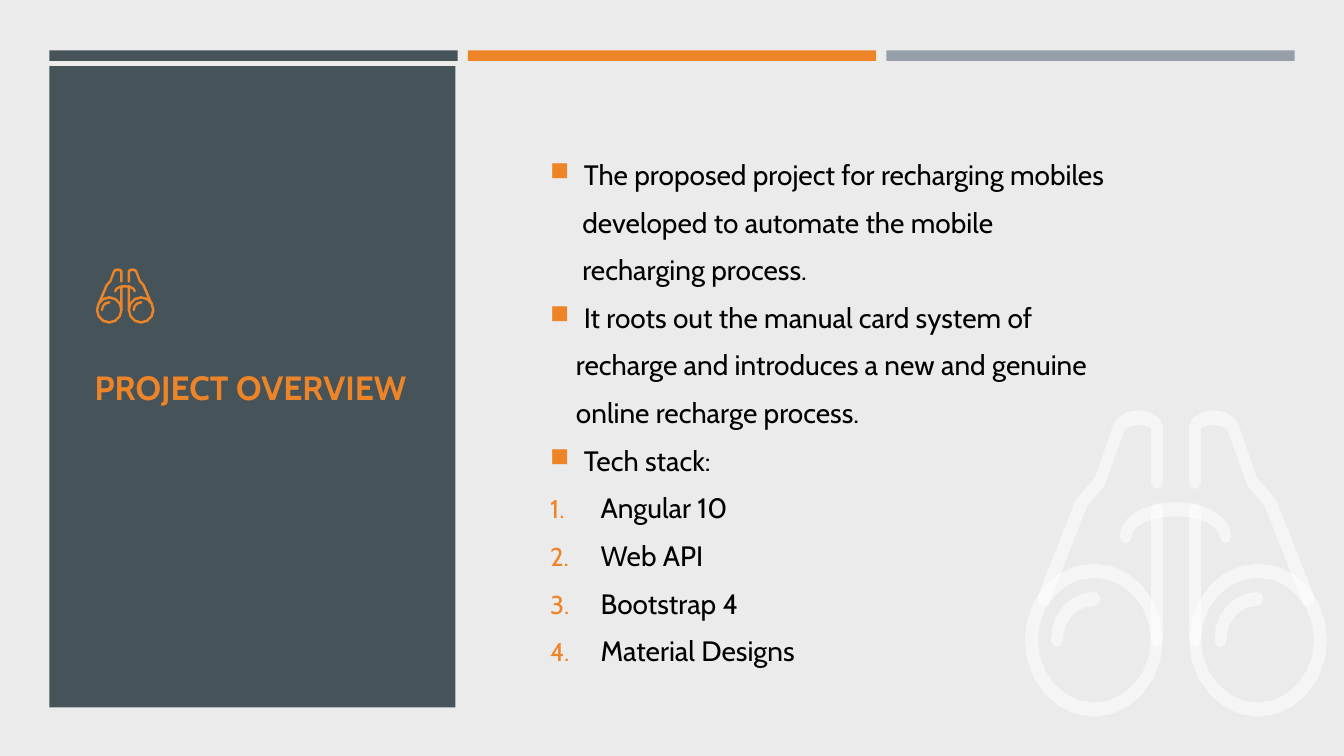
from lxml import etree
from pptx import Presentation
from pptx.dml.color import RGBColor as Rgb
from pptx.enum.shapes import MSO_SHAPE as Preset
from pptx.enum.text import MSO_ANCHOR as Anchor
from pptx.oxml.ns import qn
from pptx.util import Pt

COLORS = {"page": "EBEBEB", "slate": "465359", "orange": "ED8428",
          "grey": "969FA7", "white": "FFFFFF", "ink": "000000"}
FONT = "Cabin"
TITLE = "PROJECT OVERVIEW"
BODY = [
    ("square", 24, "The proposed project for recharging mobiles"),
    ("plain", 23, "developed to automate the mobile"),
    ("plain", 23, "recharging process."),
    ("square", 24, "It roots out the manual card system of"),
    ("plain", 18.4, "recharge and introduces a new and genuine"),
    ("plain", 18.4, "online recharge process."),
    ("square", 24, "Tech stack:"),
    ("number", 36, "Angular 10"),
    ("number", 36, "Web API"),
    ("number", 36, "Bootstrap 4"),
    ("number", 36, "Material Designs"),
]
BULLETS = {"square": ("a:buChar", "char", "■"),
           "number": ("a:buAutoNum", "type", "arabicPeriod")}
BARS = ["slate", "orange", "grey"]
BAR_LEFT, BAR_TOP, BAR_WIDTH, BAR_HEIGHT, BAR_STEP = 35.3, 36, 291.6, 7.5, 298.9
PANEL_BOX = (35.3, 47.3, 290, 458)
BODY_BOX = (385.9, 77.8, 523.4, 433.4)
TITLE_BOX = (60.5, 208.8, 239, 135.4)

LENS = [
    [(-81, 305), (-120, 305, -150, 270, -150, 229), (-150, 187, -120, 153, -81, 153),
     (-44, 153, -13, 187, -13, 229), (-13, 270, -44, 305, -81, 305)],
    [(-81, 167), (-112, 167, -137, 195, -137, 229), (-137, 262, -112, 291, -81, 291),
     (-50, 291, -25, 262, -25, 229), (-25, 195, -50, 167, -81, 167)],
]
BARREL = [
    [(-130, 195), (-134, 194), (-137, 190), (-137, 185), (-99, 89), (-97, 87),
     (-80, 67), (-62, 15), (-60, 11), (-55, 5, -47, 1, -37, 1),
     (-28, 1, -20, 5, -15, 11), (-13, 17), (-13, 72), (-15, 77), (-19, 79),
     (-23, 77), (-25, 72), (-25, 19), (-32, 14, -45, 15, -51, 20), (-70, 74),
     (-71, 76), (-88, 96), (-125, 190), (-127, 194)],
]
BRIDGE = [
    [(49, 133), (45, 131), (43, 126), (43, 116, 24, 106, 0, 106),
     (-25, 106, -44, 116, -44, 126), (-46, 131), (-50, 133), (-54, 131), (-56, 126),
     (-56, 107, -32, 92, 0, 92), (31, 92, 55, 107, 55, 126), (53, 131)],
]
HINGE = [
    [(-19, 236), (-23, 234), (-25, 229), (-25, 100), (-23, 95), (-19, 93),
     (-15, 95), (-13, 100), (-13, 229), (-15, 234)],
]
GLINT = [
    [(-118, 236), (-122, 234), (-124, 229), (-124, 202, -105, 181, -81, 181),
     (-77, 183), (-75, 188), (-77, 193), (-81, 195),
     (-99, 195, -112, 210, -112, 229), (-114, 234)],
]
KEPT, MIRRORED, SHIFTED = (1, 0), (-1, 0), (1, 162)
BINOCULARS = [
    (LENS, [KEPT, MIRRORED]), (BARREL, [KEPT, MIRRORED]), (BRIDGE, [KEPT]),
    (HINGE, [KEPT, MIRRORED]), (GLINT, [KEPT, SHIFTED]),
]
ICONS = [
    {"origin": (840, 292.4), "scale": (0.72, 0.72), "color": "white",
     "alpha": 50, "steps": 6},
    {"origin": (89.4, 191.6), "scale": (0.14, 0.13), "color": "orange",
     "alpha": 100, "steps": 3},
]


def rgb(name):
    """Return the named colour."""
    return Rgb.from_string(COLORS[name])


def flatten(contour, steps):
    """Turn lines and cubic curves into a list of points."""
    points = [contour[0]]
    for part in contour[1:]:
        if len(part) == 2:
            points.append(part)
            continue
        x0, y0 = points[-1]
        x1, y1, x2, y2, x3, y3 = part
        for step in range(1, steps + 1):
            t = step / steps
            a, b, c, d = (1 - t) ** 3, 3 * t * (1 - t) ** 2, 3 * t * t * (1 - t), t ** 3
            points.append((a * x0 + b * x1 + c * x2 + d * x3,
                           a * y0 + b * y1 + c * y2 + d * y3))
    return points


def paint(shape, color, alpha=100):
    """Give a shape a flat fill without line or shadow."""
    shape.shadow.inherit = False
    shape.line.fill.background()
    shape.fill.solid()
    shape.fill.fore_color.rgb = rgb(color)
    if alpha < 100:
        tint = shape.fill._xPr.find(qn("a:solidFill"))[0]
        etree.SubElement(tint, qn("a:alpha"), val=str(alpha * 1000))


def add_block(slide, box, color):
    """Add a filled rectangle."""
    paint(slide.shapes.add_shape(Preset.RECTANGLE, *map(Pt, box)), color)


def add_binoculars(slide, origin, scale, color, alpha, steps):
    """Draw the binoculars as one group."""
    group = slide.shapes.add_group_shape()
    for contours, placements in BINOCULARS:
        for sign, shift in placements:
            outlines = [[(Pt(origin[0] + (sign * x + shift) * scale[0]),
                          Pt(origin[1] + y * scale[1]))
                         for x, y in flatten(contour, steps)]
                        for contour in contours]
            builder = group.shapes.build_freeform(*outlines[0][0], scale=1.0)
            for index, outline in enumerate(outlines):
                if index:
                    builder.move_to(*outline[0])
                builder.add_line_segments(outline[1:], close=True)
            paint(builder.convert_to_shape(), color, alpha)


def add_frame(slide, box):
    """Add a wrapping, vertically centred text frame."""
    frame = slide.shapes.add_textbox(*map(Pt, box)).text_frame
    frame.word_wrap = True
    frame.vertical_anchor = Anchor.MIDDLE
    return frame


def style(paragraph, size, color, bold=False):
    """Format the runs of a paragraph."""
    for run in paragraph.runs:
        run.font.name, run.font.size, run.font.bold = FONT, Pt(size), bold
        run.font.color.rgb = rgb(color)


def set_bullet(paragraph, kind, indent):
    """Set the left margin and the hanging marker."""
    props = paragraph._p.get_or_add_pPr()
    props.set("marL", str(int(Pt(indent))))
    if kind not in BULLETS:
        props.set("indent", "0")
        etree.SubElement(props, qn("a:buNone"))
        return
    props.set("indent", str(-int(Pt(indent))))
    tint = etree.SubElement(props, qn("a:buClr"))
    etree.SubElement(tint, qn("a:srgbClr"), val=COLORS["orange"])
    etree.SubElement(props, qn("a:buSzPct"), val="92000")
    tag, key, value = BULLETS[kind]
    etree.SubElement(props, qn(tag)).set(key, value)


def main():
    """Build the project overview slide."""
    deck = Presentation()
    deck.slide_width, deck.slide_height = Pt(960), Pt(540)
    slide = deck.slides.add_slide(deck.slide_layouts[6])
    slide.background.fill.solid()
    slide.background.fill.fore_color.rgb = rgb("page")
    for index, color in enumerate(BARS):
        left = BAR_LEFT + index * BAR_STEP
        add_block(slide, (left, BAR_TOP, BAR_WIDTH, BAR_HEIGHT), color)
    add_block(slide, PANEL_BOX, "slate")

    body = add_frame(slide, BODY_BOX)
    body.text = "\n".join(text for _, _, text in BODY)
    for paragraph, (kind, indent, _) in zip(body.paragraphs, BODY):
        paragraph.space_before, paragraph.space_after = Pt(4), Pt(6)
        set_bullet(paragraph, kind, indent)
        style(paragraph, 20, "ink")

    title = add_frame(slide, TITLE_BOX)
    title.text = TITLE
    style(title.paragraphs[0], 24, "orange", bold=True)

    for icon in ICONS:
        add_binoculars(slide, **icon)
    deck.save("out.pptx")


if __name__ == "__main__":
    main()
